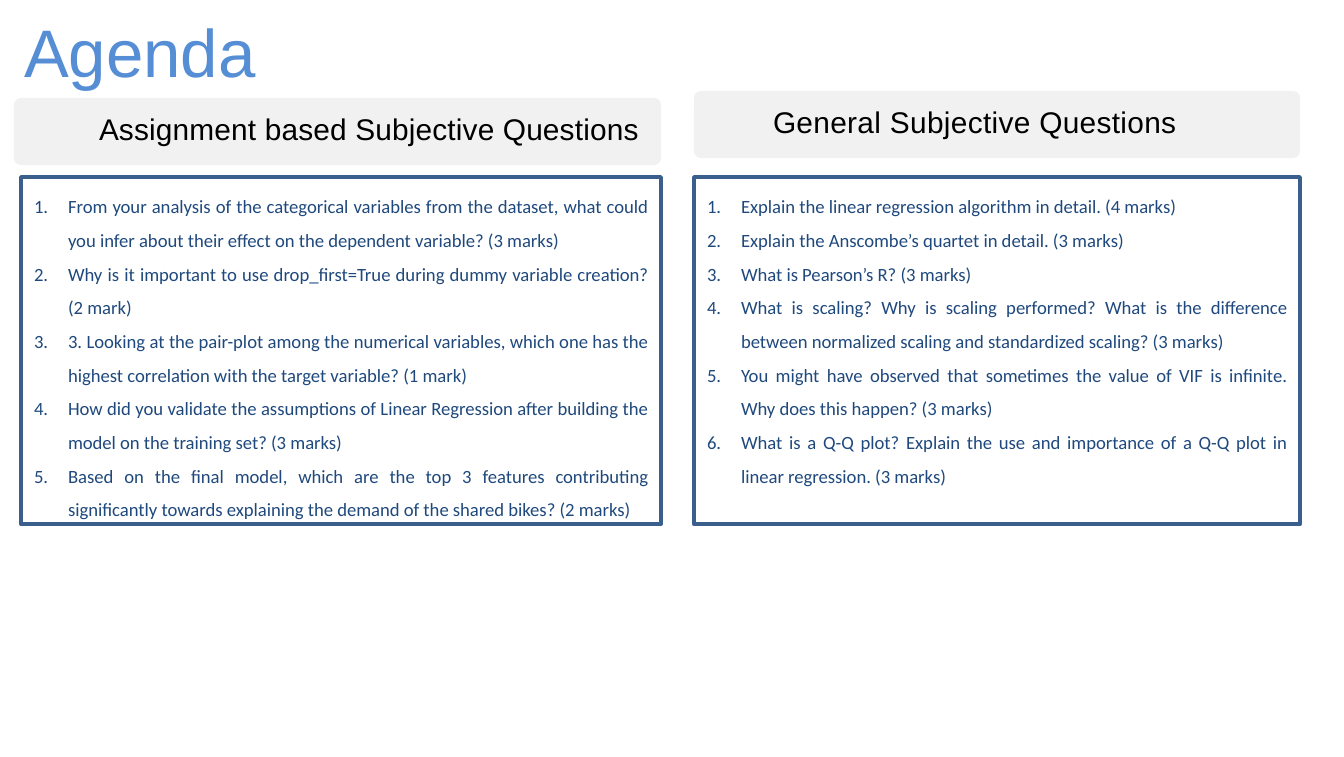
import pptx
import pptx.util
import pptx.dml.color
import pptx.enum.shapes
import pptx.enum.text
import lxml.etree
from pptx.oxml.ns import qn

EMU_PER_PX = 914400 / 134.4
ANCHOR = pptx.enum.text.MSO_ANCHOR
ALIGN = pptx.enum.text.PP_ALIGN

ASSIGNMENT_QUESTIONS = [
    "From your analysis of the categorical variables from the dataset, what could you infer about their effect on the dependent variable? (3 marks)",
    "Why is it important to use drop_first=True during dummy variable creation? (2 mark)",
    "3. Looking at the pair-plot among the numerical variables, which one has the highest correlation with the target variable? (1 mark)",
    "How did you validate the assumptions of Linear Regression after building the model on the training set? (3 marks)",
    "Based on the final model, which are the top 3 features contributing significantly towards explaining the demand of the shared bikes? (2 marks)",
]
GENERAL_QUESTIONS = [
    "Explain the linear regression algorithm in detail. (4 marks)",
    "Explain the Anscombe’s quartet in detail. (3 marks)",
    "What is Pearson’s R? (3 marks)",
    "What is scaling? Why is scaling performed? What is the difference between normalized scaling and standardized scaling? (3 marks)",
    "You might have observed that sometimes the value of VIF is infinite. Why does this happen? (3 marks)",
    "What is a Q-Q plot? Explain the use and importance of a Q-Q plot in linear regression. (3 marks)",
]


def px(length):
    return pptx.util.Emu(round(length * EMU_PER_PX))


def color(value):
    return pptx.dml.color.RGBColor.from_string(value)


def place(shape, box):
    shape.left, shape.top, shape.width, shape.height = map(px, box)


def set_margins(frame, left, top):
    frame.margin_left = frame.margin_right = px(left)
    frame.margin_top = frame.margin_bottom = px(top)
    frame.vertical_anchor = ANCHOR.TOP
    frame.auto_size = pptx.enum.text.MSO_AUTO_SIZE.NONE


def format_span(span, font, size, ink, spacing=0):
    span.font.name = font
    span.font.size = pptx.util.Pt(size)
    span.font.bold = False
    span.font.color.rgb = color(ink)
    if spacing:
        span._r.get_or_add_rPr().set("spc", str(spacing))


def write_line(holder, box, text, size, ink, spacing=0):
    place(holder, box)
    frame = holder.text_frame
    frame.text = text
    frame.word_wrap = False
    set_margins(frame, 0, 1)
    para = frame.paragraphs[0]
    para.alignment = ALIGN.LEFT
    para.space_before = pptx.util.Pt(0)
    format_span(para.runs[0], "Arial", size, ink, spacing)


def add_heading(page, holder, box, indent, text, spacing):
    left, top, width, height = box
    band = page.shapes.add_shape(
        pptx.enum.shapes.MSO_SHAPE.ROUNDED_RECTANGLE, *map(px, box))
    band.adjustments[0] = 0.1
    band.shadow.inherit = False
    band.fill.solid()
    band.fill.fore_color.rgb = color("F1F1F1")
    band.line.fill.background()
    holder._element.addprevious(band._element)
    text_box = (left + indent, top + 12, width - indent, 38)
    write_line(holder, text_box, text, 16, "000000", spacing)


def number_paragraph(para):
    properties = para._p.get_or_add_pPr()
    properties.set("marL", str(px(34)))
    properties.set("indent", str(px(-34)))
    font = lxml.etree.SubElement(properties, qn("a:buFont"))
    font.set("typeface", "Calibri")
    number = lxml.etree.SubElement(properties, qn("a:buAutoNum"))
    number.set("type", "arabicPeriod")


def fill_questions(holder, box, questions):
    place(holder, box)
    holder.line.color.rgb = color("3A5F8C")
    holder.line.width = pptx.util.Pt(2)
    frame = holder.text_frame
    frame.text = "\n".join(questions)
    frame.word_wrap = True
    set_margins(frame, 13, 7)
    for para in frame.paragraphs:
        number_paragraph(para)
        para.alignment = ALIGN.JUSTIFY
        para.line_spacing = 1.5
        para.space_before = pptx.util.Pt(0)
        format_span(para.runs[0], "Calibri", 10, "1F497D")


def build_agenda(deck):
    page = deck.slides.add_slide(deck.slide_layouts.get_by_name("Comparison"))
    holders = {holder.placeholder_format.idx: holder for holder in page.placeholders}
    write_line(holders[0], (24, 9, 235, 83), "Agenda", 36, "558ED5")
    add_heading(page, holders[1], (14, 98, 647, 67), 85,
                "Assignment based Subjective Questions", 10)
    fill_questions(holders[2], (21, 177, 640, 347), ASSIGNMENT_QUESTIONS)
    add_heading(page, holders[3], (694, 91, 606, 67), 79,
                "General Subjective Questions", 20)
    fill_questions(holders[4], (694, 177, 606, 347), GENERAL_QUESTIONS)


def main():
    deck = pptx.Presentation()
    deck.slide_width = pptx.util.Inches(10)
    deck.slide_height = pptx.util.Inches(5.63)
    build_agenda(deck)
    deck.save("out.pptx")


if __name__ == "__main__":
    main()
